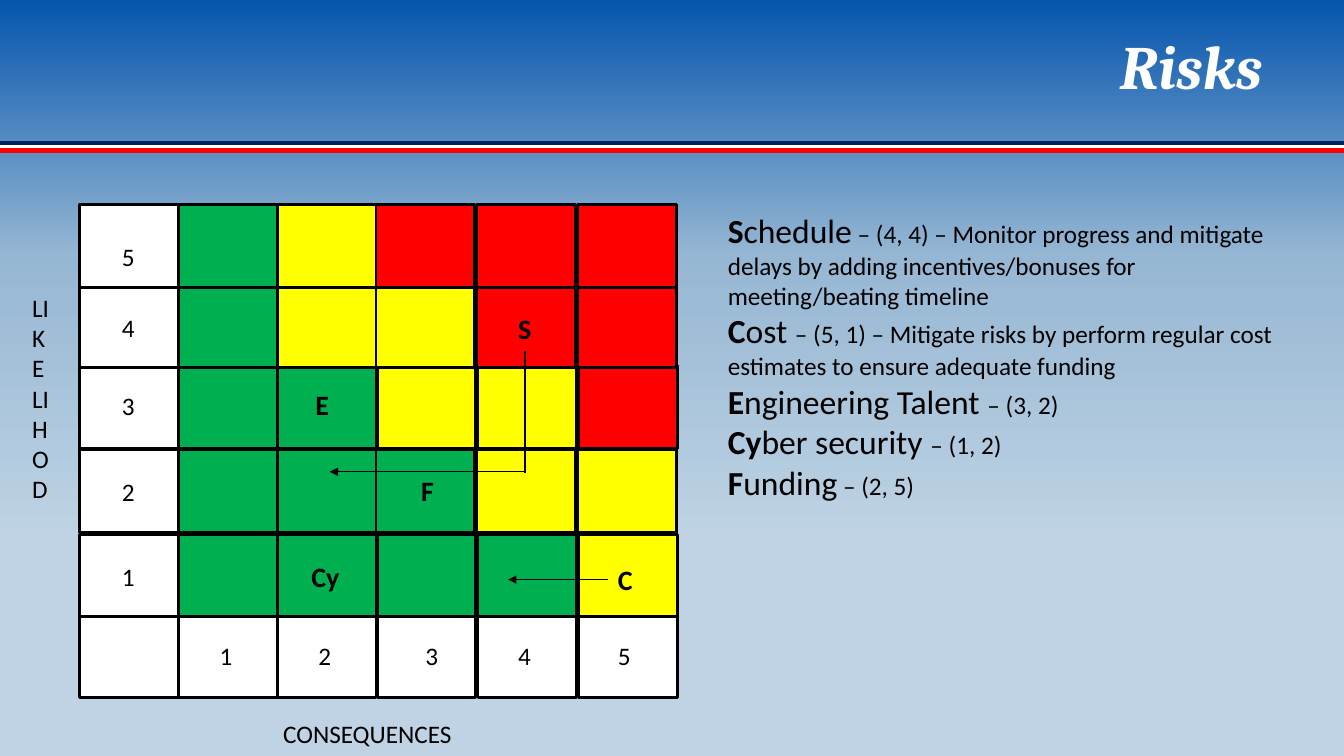
from copy import deepcopy
from dataclasses import dataclass

from lxml import etree
from pptx import Presentation
from pptx.dml.color import RGBColor
from pptx.enum.shapes import MSO_CONNECTOR as Connector, MSO_SHAPE as Preset
from pptx.enum.text import MSO_ANCHOR as Anchor, MSO_AUTO_SIZE as AutoSize, PP_ALIGN as Align
from pptx.oxml.ns import qn
from pptx.shapes.autoshape import Shape
from pptx.shapes.connector import Connector as ConnectorShape
from pptx.slide import Slide
from pptx.util import Emu, Pt

PX = 9144  # 100 px to the inch

BLACK = RGBColor(0x00, 0x00, 0x00)
WHITE = RGBColor(0xFF, 0xFF, 0xFF)
NAVY = RGBColor(0x00, 0x20, 0x60)
GREEN = RGBColor(0x00, 0xB0, 0x50)
YELLOW = RGBColor(0xFF, 0xFF, 0x00)
RED = RGBColor(0xFF, 0x00, 0x00)
SKY = [(0, RGBColor(0x06, 0x56, 0xAE)), (0.34, RGBColor(0x96, 0xB7, 0xD3)),
       (0.72, RGBColor(0xBF, 0xD3, 0xE4))]
CELL_FILLS = {"W": WHITE, "G": GREEN, "Y": YELLOW, "R": RED}

CELL_WIDTH, CELL_HEIGHT = 98, 82
COLUMN_LEFTS = [79, 177, 275, 373, 473, 573]


@dataclass(frozen=True)
class MatrixRow:
    top: int
    fills: str
    right_shift: int = 0  # moves the last three columns


@dataclass(frozen=True)
class Label:
    text: str
    left: int
    top: int
    width: int = 39
    height: int = 40
    size: int = 18
    bold: bool = False


@dataclass(frozen=True)
class Line:
    start: tuple[int, int]
    end: tuple[int, int]
    color: RGBColor
    weight: float
    arrow: bool = False


@dataclass(frozen=True)
class Risk:
    initial: str
    rest: str
    detail: str


MATRIX = [
    MatrixRow(610, "WWWWWW", 1),
    MatrixRow(530, "WGGGGY", 1),
    MatrixRow(446, "WGGGYY"),
    MatrixRow(363, "WGGYYR", 1),
    MatrixRow(283, "WGYYRR"),
    MatrixRow(203, "WGYRRR"),
]

STRIPES = [
    Line((0, y), (1333, y), color, weight)
    for y, color, weight in [(142, NAVY, 3.5), (146, WHITE, 2.5), (149, RED, 3.5)]
]

AXIS_LABELS = [
    *(Label(str(5 - i), 111, top) for i, top in enumerate([234, 305, 382, 468, 552])),
    *(Label(str(i + 1), left, 630) for i, left in enumerate([208, 306, 412, 504, 603])),
    Label("LIKELIHOD", 22, 285, 37, 283),
    Label("CONSEQUENCES", 271, 708, 191, 40),
]

MARKERS = [
    Label(text, left, top, 54, 44, 20, True)
    for text, left, top in [("C", 603, 553), ("F", 408, 465), ("Cy", 299, 550),
                            ("S", 504, 304), ("E", 303, 380)]
]

SCHEDULE_PATH = [
    Line((521, 348), (521, 469), BLACK, 1.5),
    Line((521, 468), (327, 468), BLACK, 1, True),
]
COST_PATH = Line((603, 575), (504, 575), BLACK, 1, True)

RISKS = [
    Risk("S", "chedule", " – (4, 4) – Monitor progress and mitigate delays by adding "
         "incentives/bonuses for meeting/beating timeline"),
    Risk("C", "ost ", "– (5, 1) – Mitigate risks by perform regular cost estimates "
         "to ensure adequate funding"),
    Risk("E", "ngineering Talent ", "– (3, 2)"),
    Risk("Cy", "ber security ", "– (1, 2)"),
    Risk("F", "unding", " – (2, 5)"),
]


def px(*lengths: int) -> list[Emu]:
    return [Emu(length * PX) for length in lengths]


def add_span(para, text: str, *, size: int, bold: bool = False, italic: bool = False,
             color: RGBColor = BLACK, font: str = "Calibri") -> None:
    span = para.add_run()
    span.text = text
    span.font.name = font
    span.font.size = Pt(size)
    span.font.bold = bold
    span.font.italic = italic
    span.font.color.rgb = color


def paint_background(page: Slide) -> None:
    fill = page.background.fill
    fill.gradient()
    fill.gradient_angle = 270
    stop_list = page.element.find(".//" + qn("a:gsLst"))
    stop_list.append(deepcopy(stop_list[-1]))
    for stop, (position, color) in zip(fill.gradient_stops, SKY):
        stop.position = position
        stop.color.rgb = color


def add_title(page: Slide, text: str) -> None:
    title = page.shapes.title
    title.left, title.top, title.width, title.height = px(162, 14, 1100, 92)
    frame = title.text_frame
    frame.auto_size = AutoSize.NONE
    frame.word_wrap = True
    frame.vertical_anchor = Anchor.BOTTOM
    para = frame.paragraphs[0]
    para.alignment = Align.RIGHT
    add_span(para, text, size=44, bold=True, italic=True, color=WHITE, font="Cambria")


def add_line(page: Slide, line: Line) -> ConnectorShape:
    connector = page.shapes.add_connector(Connector.STRAIGHT, *px(*line.start, *line.end))
    connector.line.color.rgb = line.color
    connector.line.width = Pt(line.weight)
    if line.arrow:
        outline = connector.line._get_or_add_ln()
        etree.SubElement(outline, qn("a:tailEnd"), type="triangle")
    etree.SubElement(connector.element.spPr, qn("a:effectLst"))
    return connector


def add_matrix_row(page: Slide, row: MatrixRow) -> None:
    for column, (left, fill) in enumerate(zip(COLUMN_LEFTS, row.fills)):
        shift = row.right_shift if column >= 3 else 0
        cell = page.shapes.add_shape(
            Preset.RECTANGLE, *px(left + shift, row.top, CELL_WIDTH, CELL_HEIGHT))
        cell.shadow.inherit = False
        cell.fill.solid()
        cell.fill.fore_color.rgb = CELL_FILLS[fill]
        cell.line.color.rgb = BLACK
        cell.line.width = Pt(2)


def add_text_box(page: Slide, left: int, top: int, width: int, height: int) -> Shape:
    box = page.shapes.add_textbox(*px(left, top, width, height))
    box.text_frame.word_wrap = True
    box.text_frame.auto_size = AutoSize.SHAPE_TO_FIT_TEXT
    return box


def add_label(page: Slide, label: Label) -> Shape:
    box = add_text_box(page, label.left, label.top, label.width, label.height)
    add_span(box.text_frame.paragraphs[0], label.text, size=label.size, bold=label.bold)
    return box


def add_risk_list(page: Slide, risks: list[Risk]) -> None:
    frame = add_text_box(page, 712, 203, 578, 364).text_frame
    for i, risk in enumerate(risks):
        para = frame.add_paragraph() if i else frame.paragraphs[0]
        add_span(para, risk.initial, size=24, bold=True)
        add_span(para, risk.rest, size=24)
        add_span(para, risk.detail, size=18)


def main() -> None:
    deck = Presentation()
    deck.slide_width, deck.slide_height = px(1333, 750)
    page = deck.slides.add_slide(deck.slide_layouts[5])
    paint_background(page)
    add_title(page, "Risks")
    for stripe in STRIPES:
        add_line(page, stripe)
    for row in MATRIX:
        add_matrix_row(page, row)
    for label in AXIS_LABELS:
        add_label(page, label)
    add_risk_list(page, RISKS)
    markers = {label.text: add_label(page, label) for label in MARKERS}
    for line in SCHEDULE_PATH:
        add_line(page, line)
    add_line(page, COST_PATH).begin_connect(markers["C"], 1)
    deck.save("out.pptx")


if __name__ == "__main__":
    main()
